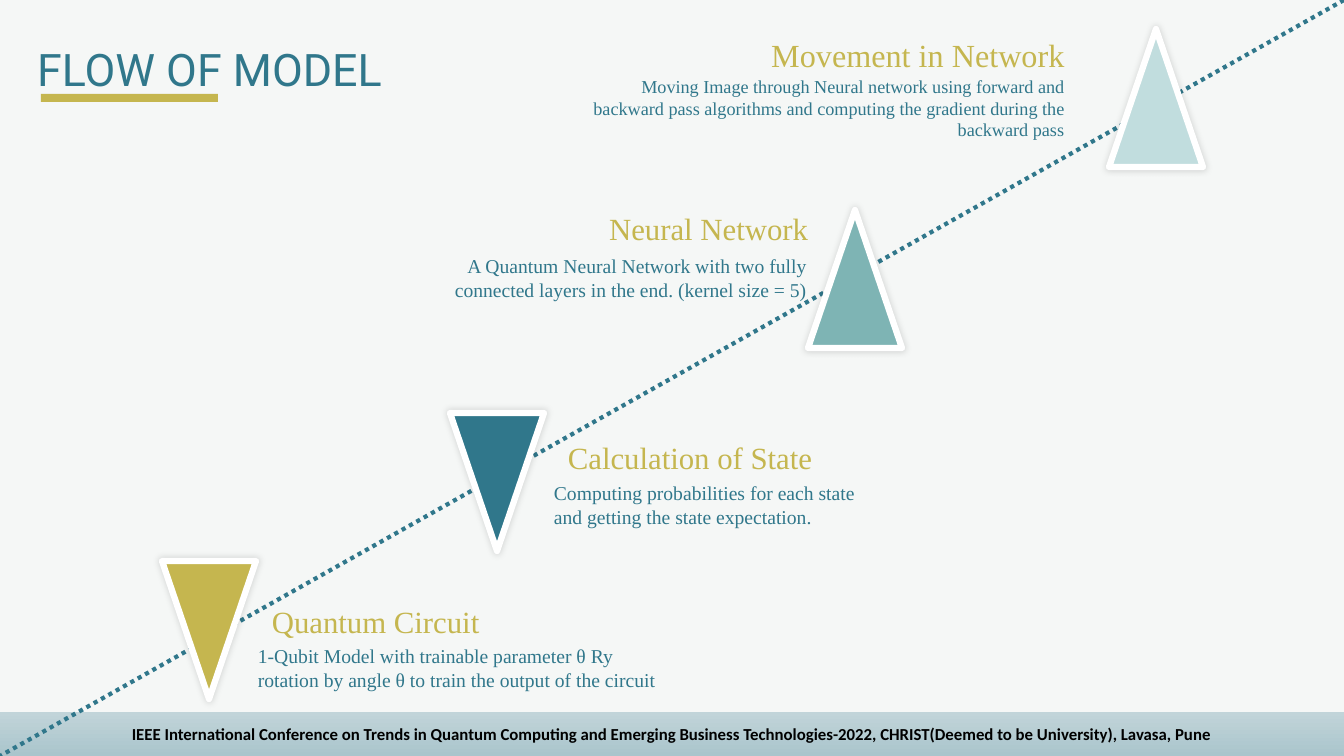
from dataclasses import dataclass

from lxml import etree
from pptx import Presentation
from pptx.dml.color import RGBColor
from pptx.enum.dml import MSO_LINE
from pptx.enum.shapes import MSO_CONNECTOR, MSO_SHAPE
from pptx.enum.text import MSO_ANCHOR, MSO_AUTO_SIZE, PP_ALIGN
from pptx.oxml.ns import qn
from pptx.util import Emu, Pt

EMU_PER_PX = 914400 / 100.8
SLIDE_WIDTH, SLIDE_HEIGHT = 1344, 756
TRIANGLE_WIDTH, TRIANGLE_HEIGHT = 94, 138
HEADING_HEIGHT = 38


@dataclass(frozen=True)
class Theme:
    background: str = "F5F7F6"
    teal: str = "30778B"
    gold: str = "C5B64F"
    sage: str = "7EB4B4"
    mist: str = "C1DDDE"
    white: str = "FFFFFF"
    black: str = "000000"
    footer_top: str = "C1D4D9"
    footer_bottom: str = "AAC5CC"
    title_font: str = "Roboto"
    text_font: str = "Times New Roman"
    footer_font: str = "Calibri"
    title_size: int = 32
    heading_size: int = 22
    body_size: int = 14
    footer_size: int = 12


THEME = Theme()


@dataclass(frozen=True)
class Step:
    left: int
    top: int
    color: str
    points_up: bool
    heading: str
    heading_edge: int  # from the triangle's left to the near side of the heading
    heading_drop: int
    heading_width: int
    body: str
    body_drop: int
    body_width: int
    body_height: int = 57
    heading_size: int = THEME.heading_size
    body_size: int = THEME.body_size


STEPS = [
    Step(162, 561, THEME.gold, False, "Quantum Circuit", 100, 41, 282,
         "1-Qubit Model with trainable parameter θ Ry rotation by angle θ "
         "to train the output of the circuit", 78, 422),
    Step(450, 413, THEME.teal, False, "Calculation of State", 108, 25, 336,
         "Computing probabilities for each state and getting the state "
         "expectation.", 63, 347),
    Step(808, 210, THEME.sage, True, "Neural Network", 10, -1, 260,
         "A Quantum Neural Network with two fully connected layers in the "
         "end. (kernel size = 5)", 39, 422),
    Step(1109, 29, THEME.mist, True, "Movement in Network", -34, 6, 369,
         "Moving Image through Neural network using forward and backward pass "
         "algorithms and computing the gradient during the backward pass",
         41, 516, 77, 23, 13),
]


def px(length):
    return Emu(round(length * EMU_PER_PX))


def px_box(*lengths):
    return [px(length) for length in lengths]


def rgb(color):
    return RGBColor.from_string(color)


def write(shape, text, font, size, color, align=PP_ALIGN.LEFT,
          anchor=MSO_ANCHOR.TOP, bold=False, line_spacing=None):
    frame = shape.text_frame
    frame.word_wrap = True
    frame.auto_size = MSO_AUTO_SIZE.NONE
    frame.vertical_anchor = anchor
    paragraph = frame.paragraphs[0]
    paragraph.alignment = align
    if line_spacing:
        paragraph.line_spacing = line_spacing
    run = paragraph.add_run()
    run.text = text
    run.font.name = font
    run.font.size = Pt(size)
    run.font.bold = bold
    run.font.color.rgb = rgb(color)


def add_block(slide, kind, box, color):
    shape = slide.shapes.add_shape(kind, *px_box(*box))
    shape.shadow.inherit = False
    shape.fill.solid()
    shape.fill.fore_color.rgb = rgb(color)
    shape.line.fill.background()
    return shape


def add_soft_shadow(shape):
    effects = shape._element.spPr.find(qn("a:effectLst"))
    shadow = etree.SubElement(effects, qn("a:outerShdw"), blurRad=str(Pt(5)),
                              dist="0", dir="0", algn="ctr", rotWithShape="0")
    color = etree.SubElement(shadow, qn("a:srgbClr"), val=THEME.black)
    etree.SubElement(color, qn("a:alpha"), val="15000")


def add_footer(slide, box):
    band = add_block(slide, MSO_SHAPE.RECTANGLE, box, THEME.footer_top)
    band.fill.gradient()
    band.fill.gradient_angle = 270
    colors = (THEME.footer_top, THEME.footer_bottom)
    for stop, color in zip(band.fill.gradient_stops, colors):
        stop.color.rgb = rgb(color)
    write(band, "IEEE International Conference on Trends in Quantum Computing "
          "and Emerging Business Technologies-2022, CHRIST(Deemed to be "
          "University), Lavasa, Pune", THEME.footer_font, THEME.footer_size,
          THEME.black, PP_ALIGN.CENTER, MSO_ANCHOR.MIDDLE, bold=True)


def add_path_line(slide, box):
    left, top, width, height = box
    line = slide.shapes.add_connector(
        MSO_CONNECTOR.STRAIGHT, *px_box(left + width, top, left, top + height))
    line.line.color.rgb = rgb(THEME.teal)
    line.line.width = Pt(3)
    line.line.dash_style = MSO_LINE.ROUND_DOT
    etree.SubElement(line._element.spPr, qn("a:effectLst"))


def add_title(slide, box):
    left, top, width, height = box
    title = slide.shapes.title
    title.left, title.top, title.width, title.height = px_box(*box)
    write(title, "FLOW OF MODEL", THEME.title_font, THEME.title_size, THEME.teal)
    underline = (left + 14, top + 57, 177, 8)
    add_block(slide, MSO_SHAPE.RECTANGLE, underline, THEME.gold)


def add_step(slide, step, box):
    left, top, width, height = box
    # Marker triangle
    triangle = add_block(slide, MSO_SHAPE.ISOSCELES_TRIANGLE, box, step.color)
    triangle.rotation = 0 if step.points_up else 180
    triangle.line.color.rgb = rgb(THEME.white)
    triangle.line.width = Pt(4.5)
    add_soft_shadow(triangle)

    # Text sits left of upward triangles and right of downward ones
    align = PP_ALIGN.RIGHT if step.points_up else PP_ALIGN.LEFT
    body_edge = step.heading_edge - (1 if step.points_up else 14)
    texts = [
        (step.body, body_edge, step.body_drop, step.body_width,
         step.body_height, step.body_size, THEME.teal, None),
        (step.heading, step.heading_edge, step.heading_drop, step.heading_width,
         HEADING_HEIGHT, step.heading_size, THEME.gold, 0.9),
    ]
    for text, edge, drop, text_width, text_height, size, color, spacing in texts:
        text_left = left + edge - (text_width if step.points_up else 0)
        text_box = slide.shapes.add_textbox(
            *px_box(text_left, top + drop, text_width, text_height))
        write(text_box, text, THEME.text_font, size, color, align,
              line_spacing=spacing)


def main():
    presentation = Presentation()
    presentation.slide_width = px(SLIDE_WIDTH)
    presentation.slide_height = px(SLIDE_HEIGHT)
    slide = presentation.slides.add_slide(presentation.slide_layouts[5])
    slide.background.fill.solid()
    slide.background.fill.fore_color.rgb = rgb(THEME.background)

    add_footer(slide, (0, 712, SLIDE_WIDTH, 44))
    add_path_line(slide, (0, 0, SLIDE_WIDTH, SLIDE_HEIGHT))
    for step in STEPS:
        add_step(slide, step,
                 (step.left, step.top, TRIANGLE_WIDTH, TRIANGLE_HEIGHT))
    add_title(slide, (27, 37, 664, 64))
    presentation.save("out.pptx")


if __name__ == "__main__":
    main()
